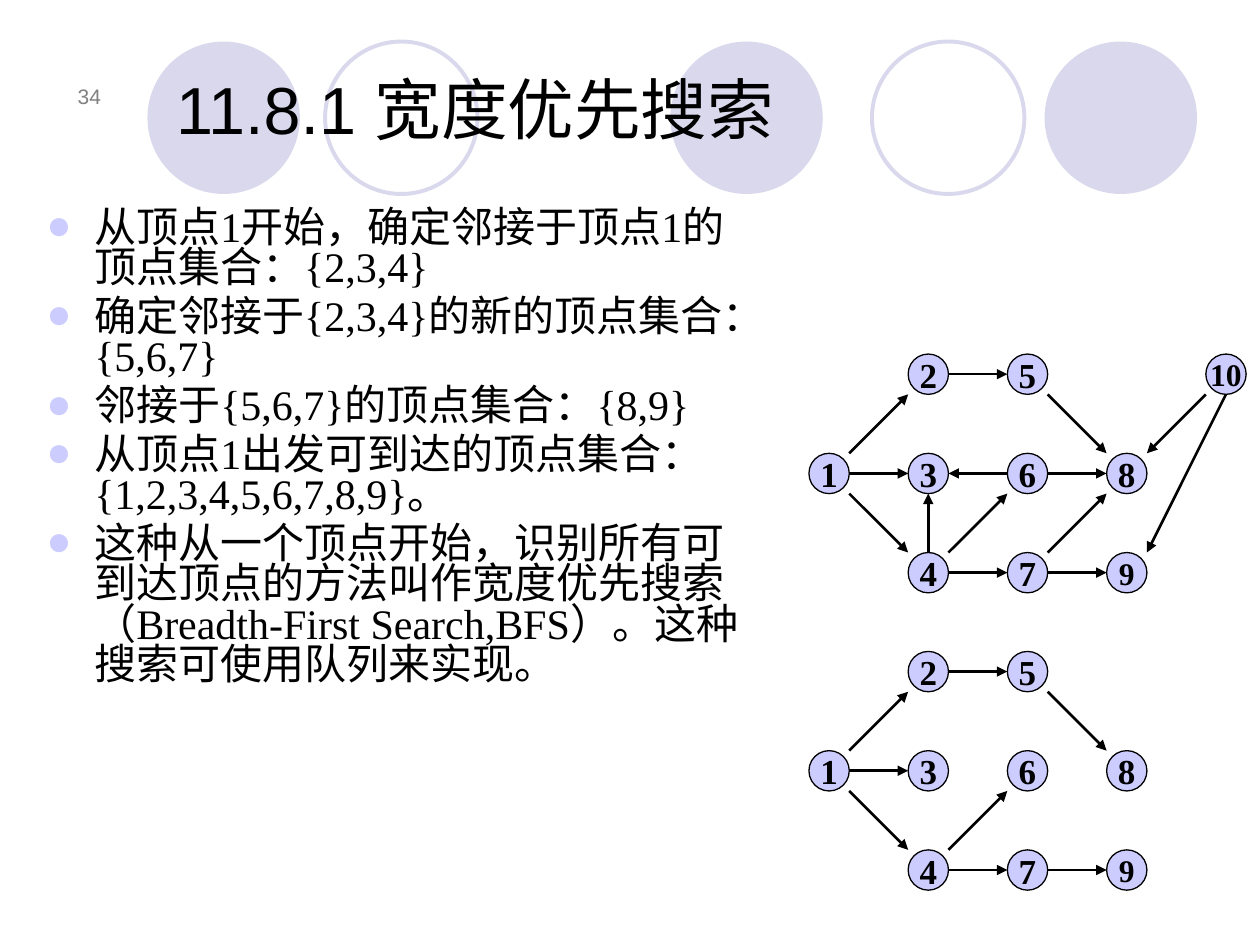
from dataclasses import dataclass

from lxml import etree
from pptx import Presentation
from pptx import util as u
from pptx.dml.color import RGBColor
from pptx.enum import shapes, text
from pptx.oxml.ns import qn


@dataclass(frozen=True)
class Theme:
    ink: RGBColor = RGBColor(0, 0, 0)
    muted: RGBColor = RGBColor(0x80, 0x80, 0x80)
    decoration: RGBColor = RGBColor(0xD9, 0xD8, 0xEC)
    accent: RGBColor = RGBColor(0xCC, 0xCC, 0xFF)
    heading_font: str = "Arial"
    body_font: str = "Times New Roman"
    title_size: int = 38
    body_size: int = 24
    node_size: int = 20
    small_node_size: int = 18
    number_size: int = 12


THEME = Theme()

POINTS = [
    "从顶点1开始，确定邻接于顶点1的顶点集合：{2,3,4}",
    "确定邻接于{2,3,4}的新的顶点集合：{5,6,7}",
    "邻接于{5,6,7}的顶点集合：{8,9}",
    "从顶点1出发可到达的顶点集合：{1,2,3,4,5,6,7,8,9}。",
    "这种从一个顶点开始，识别所有可到达顶点的方法叫作宽度优先搜索"
    "（Breadth-First Search,BFS）。这种搜索可使用队列来实现。",
]

NODE_CELLS = {
    1: (0, 1), 2: (1, 0), 3: (1, 1), 4: (1, 2), 5: (2, 0),
    6: (2, 1), 7: (2, 2), 8: (3, 1), 9: (3, 2), 10: (4, 0),
}
TREE_EDGES = [(1, 2), (1, 3), (1, 4), (2, 5), (4, 7), (5, 8), (7, 9), (4, 6)]
GRAPH_EDGES = TREE_EDGES + [(6, 3), (6, 8), (7, 8), (10, 8), (10, 9), (4, 3)]
GRID_STEP = u.Inches(0.7875)
NODE_DIAMETER = u.Inches(0.32)


def style_paragraph(paragraph, font_name, size, color, bold=False):
    for run in paragraph.runs:
        run.font.name = font_name
        run.font.size = u.Pt(size)
        run.font.color.rgb = color
        run.font.bold = bold


def add_circle(slide, left, top, diameter, fill=None, line=None, line_width=0.75):
    circle = slide.shapes.add_shape(
        shapes.MSO_SHAPE.OVAL, left, top, diameter, diameter)
    circle.shadow.inherit = False
    if fill is None:
        circle.fill.background()
    else:
        circle.fill.solid()
        circle.fill.fore_color.rgb = fill
    if line is None:
        circle.line.fill.background()
    else:
        circle.line.color.rgb = line
        circle.line.width = u.Pt(line_width)
    return circle


def add_circle_band(slide, left, top, diameter):
    for offset, filled in [(0, True), (1.41, False), (4.15, True),
                           (5.75, False), (7.12, True)]:
        add_circle(
            slide, left + u.Inches(offset), top, diameter,
            fill=THEME.decoration if filled else None,
            line=None if filled else THEME.decoration, line_width=2.25)


def add_text_frame(slide, left, top, width, height, anchor):
    frame = slide.shapes.add_textbox(left, top, width, height).text_frame
    frame.word_wrap = True
    frame.vertical_anchor = anchor
    return frame


def add_heading(slide, left, top, width, height, words, size, color, alignment):
    frame = add_text_frame(
        slide, left, top, width, height, text.MSO_ANCHOR.BOTTOM)
    frame.text = words
    paragraph = frame.paragraphs[0]
    paragraph.alignment = alignment
    style_paragraph(paragraph, THEME.heading_font, size, color)


def add_bullet(paragraph):
    indent = u.Inches(0.38)
    properties = paragraph._p.get_or_add_pPr()
    properties.set("marL", str(indent))
    properties.set("indent", str(-indent))
    color = etree.SubElement(properties, qn("a:buClr"))
    etree.SubElement(color, qn("a:srgbClr"), val=str(THEME.accent))
    etree.SubElement(properties, qn("a:buFont"), typeface=THEME.heading_font)
    etree.SubElement(properties, qn("a:buChar"), char="●")


def add_bullet_list(slide, left, top, width, height, points):
    frame = add_text_frame(slide, left, top, width, height, text.MSO_ANCHOR.TOP)
    for index, point in enumerate(points):
        paragraph = frame.add_paragraph() if index else frame.paragraphs[0]
        paragraph.text = point
        add_bullet(paragraph)
        paragraph.line_spacing = 0.8
        if index:
            paragraph.space_before = u.Pt(4.8)
        style_paragraph(paragraph, THEME.body_font, THEME.body_size, THEME.ink)


def add_node(slide, left, top, number):
    node = add_circle(
        slide, left, top, NODE_DIAMETER, fill=THEME.accent, line=THEME.ink)
    frame = node.text_frame
    frame.word_wrap = False
    frame.vertical_anchor = text.MSO_ANCHOR.MIDDLE
    frame.text = str(number)
    paragraph = frame.paragraphs[0]
    paragraph.alignment = text.PP_ALIGN.CENTER
    size = THEME.small_node_size if number >= 9 else THEME.node_size
    style_paragraph(paragraph, THEME.body_font, size, THEME.ink, bold=True)


def add_arrow(slide, start, end):
    arrow = slide.shapes.add_connector(
        shapes.MSO_CONNECTOR.STRAIGHT, *start, *end)
    arrow.line.color.rgb = THEME.ink
    arrow.line.width = u.Pt(1.5)
    etree.SubElement(arrow.line._get_or_add_ln(), qn("a:tailEnd"), type="triangle")
    etree.SubElement(arrow._element.spPr, qn("a:effectLst"))


def direction(difference):
    return (difference > 0) - (difference < 0)


def add_graph(slide, left, top, numbers, edges):
    radius = NODE_DIAMETER // 2
    corners = {}
    for number in numbers:
        column, row = NODE_CELLS[number]
        corners[number] = (left + int(column * GRID_STEP),
                           top + int(row * GRID_STEP))
        add_node(slide, *corners[number], number)

    for source, target in edges:
        columns = NODE_CELLS[target][0] - NODE_CELLS[source][0]
        rows = NODE_CELLS[target][1] - NODE_CELLS[source][1]
        across, down = direction(columns), direction(rows)
        start_across = 0 if abs(rows) > abs(columns) else across
        source_left, source_top = corners[source]
        target_left, target_top = corners[target]
        add_arrow(
            slide,
            (source_left + radius * (1 + start_across),
             source_top + radius * (1 + down)),
            (target_left + radius * (1 - across),
             target_top + radius * (1 - down)))


def main():
    presentation = Presentation()
    presentation.slide_width = u.Inches(10)
    presentation.slide_height = u.Inches(7.5)
    slide = presentation.slides.add_slide(presentation.slide_layouts[6])

    add_circle_band(slide, u.Inches(1.17), u.Inches(0.33), u.Inches(1.21))
    add_heading(slide, u.Inches(0.35), u.Inches(0.44), u.Inches(0.55),
                u.Inches(0.47), "34", THEME.number_size, THEME.muted,
                text.PP_ALIGN.RIGHT)
    add_heading(slide, u.Inches(1.3), u.Inches(0.21), u.Inches(8.27),
                u.Inches(1.01), "11.8.1 宽度优先搜索", THEME.title_size,
                THEME.ink, text.PP_ALIGN.LEFT)
    add_bullet_list(slide, u.Inches(0.27), u.Inches(1.62), u.Inches(5.83),
                    u.Inches(5.59), POINTS)
    add_graph(slide, u.Inches(6.42), u.Inches(2.81), range(1, 11), GRAPH_EDGES)
    add_graph(slide, u.Inches(6.42), u.Inches(5.17), range(1, 10), TREE_EDGES)

    presentation.save("out.pptx")


if __name__ == "__main__":
    main()
